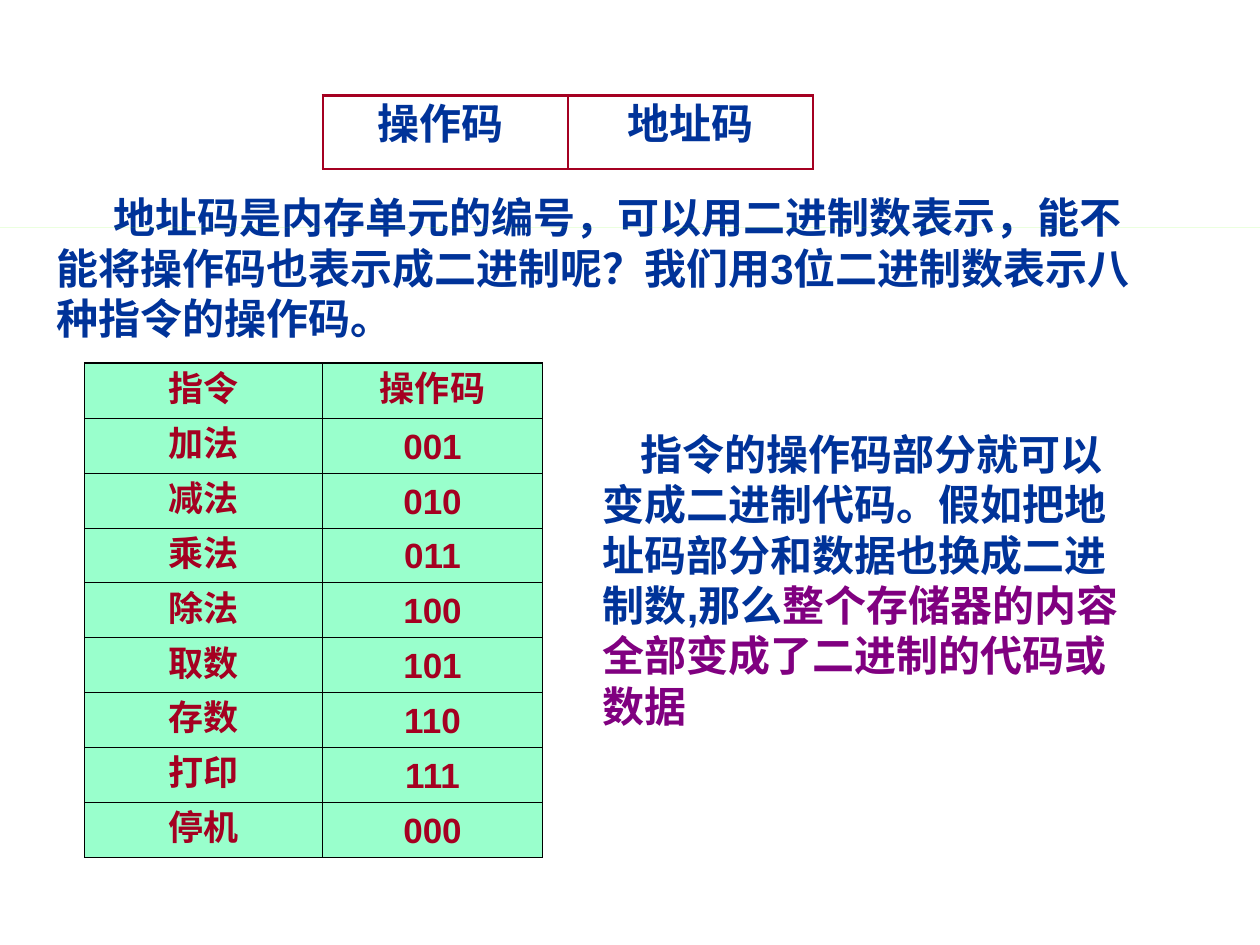
from lxml import etree
from pptx import Presentation
from pptx.dml.color import RGBColor
from pptx.enum.shapes import MSO_SHAPE
from pptx.enum.text import MSO_ANCHOR, MSO_AUTO_SIZE, PP_ALIGN
from pptx.oxml.ns import qn
from pptx.util import Pt

RECT = MSO_SHAPE.RECTANGLE
TOP, MIDDLE = MSO_ANCHOR.TOP, MSO_ANCHOR.MIDDLE
CENTER = PP_ALIGN.CENTER
FIT = MSO_AUTO_SIZE.SHAPE_TO_FIT_TEXT

NAVY = RGBColor(0x00, 0x33, 0x99)
CRIMSON = RGBColor(0xA5, 0x00, 0x21)
PURPLE = RGBColor(0x80, 0x00, 0x80)
MINT = RGBColor(0x99, 0xFF, 0xCC)
LIME = RGBColor(0x66, 0xFF, 0x00)
BLACK = RGBColor(0x00, 0x00, 0x00)

CJK = "Noto Sans CJK SC"
LATIN, SERIF = "Arial", "Times New Roman"
SIDES = ("L", "R", "T", "B")

OPCODES = [("指令", "操作码"), ("加法", "001"), ("减法", "010"),
           ("乘法", "011"), ("除法", "100"), ("取数", "101"),
           ("存数", "110"), ("打印", "111"), ("停机", "000")]


class Deck:
    """Holds the presentation, its current slide and the text style."""

    def __init__(self, width, height):
        self.prs = Presentation()
        self.prs.slide_width, self.prs.slide_height = Pt(width), Pt(height)
        self.slide = self.prs.slides.add_slide(self.prs.slide_layouts[6])
        self.shapes = self.slide.shapes

    def style(self, p, size, color, latin):
        """Make a bold paragraph with a line pitch of 1.2 times its size."""
        p.line_spacing = Pt(size * 1.2)
        font = p.font
        font.size, font.bold, font.name = Pt(size), True, latin
        font.color.rgb = color
        for r in p.runs:
            ea = etree.SubElement(r._r.get_or_add_rPr(), qn("a:ea"))
            ea.set("typeface", CJK)

    def border(self, cell, side, width, color):
        tc_pr = cell._tc.get_or_add_tcPr()
        ln = etree.SubElement(tc_pr, qn(f"a:ln{side}"), w=str(Pt(width)))
        fill = etree.SubElement(ln, qn("a:solidFill"))
        etree.SubElement(fill, qn("a:srgbClr"), val=str(color))

    def table(self, x, y, widths, row_height, rows):
        """Add an unstyled table and return its rows of cells."""
        frame = self.shapes.add_table(
            len(rows), len(widths), Pt(x), Pt(y),
            Pt(sum(widths)), Pt(row_height * len(rows)))
        table = frame.table
        table.first_row = table.horz_banding = False
        for column, width in zip(table.columns, widths):
            column.width = Pt(width)
        for row, texts in zip(table.rows, rows):
            row.height = Pt(row_height)
            for cell, text in zip(row.cells, texts):
                cell.text = text
                cell.text_frame.paragraphs[0].alignment = CENTER
        return [list(row.cells) for row in table.rows]

    def text(self, x, y, w, h, runs, indent, anchor=TOP):
        """Add one paragraph; the first run sets its colour."""
        sp = self.shapes.add_textbox(Pt(x), Pt(y), Pt(w), Pt(h))
        tf = sp.text_frame
        tf.word_wrap, tf.auto_size = True, FIT
        tf.vertical_anchor = anchor
        p = tf.paragraphs[0]
        p._p.get_or_add_pPr().set("indent", str(Pt(indent)))
        base = runs[0][1]
        for text, color in runs:
            r = p.add_run()
            r.text = text
            if color != base:
                r.font.color.rgb = color
        self.style(p, 24, base, LATIN)

    def rule(self, y, color):
        """Add a flat bar across the slide."""
        sp = self.shapes.add_shape(RECT, 0, Pt(y), self.prs.slide_width, 0)
        sp.shadow.inherit = False
        sp.fill.solid()
        sp.fill.fore_color.rgb = color
        sp.line.fill.background()


def add_format_table(deck):
    rows = deck.table(184.5, 54.5, (140, 140), 42, [("操作码 ", "地址码")])
    for cell in rows[0]:
        p = cell.text_frame.paragraphs[0]
        p.space_before = Pt(6)
        deck.style(p, 24, NAVY, CJK)
        for side in SIDES:
            deck.border(cell, side, 1.47, CRIMSON)
        cell.fill.background()


def add_opcode_table(deck):
    rows = deck.table(48.2, 207.5, (136, 126), 31.4, OPCODES)
    for i, row in enumerate(rows):
        for cell in row:
            cell.vertical_anchor = MIDDLE
            latin = LATIN if cell.text.isdigit() else SERIF
            deck.style(cell.text_frame.paragraphs[0], 20, CRIMSON, latin)
            for side in SIDES:
                outer = (side, i) in (("T", 0), ("B", len(rows) - 1))
                deck.border(cell, side, 0.96 if outer else 0.45, BLACK)
            cell.fill.solid()
            cell.fill.fore_color.rgb = MINT


def main():
    deck = Deck(720, 540)
    add_format_table(deck)
    deck.text(25.2, 106, 646.6, 93.6, [
        ("地址码是内存单元的编号，可以用二进制数表示，能不能将操作码也表示成"
         "二进制呢？我们用3位二进制数表示八种指令的操作码。", NAVY)], 32.5)
    deck.rule(129.9, LIME)
    add_opcode_table(deck)
    deck.text(337.5, 241.2, 311.8, 180, [
        ("指令的操作码部分就可以变成二进制代码。假如把地址码部分和数据也"
         "换成二进制数,那么", NAVY),
        ("整个存储器的内容全部变成了二进制的代码或数据", PURPLE)],
        21.5, MIDDLE)
    deck.prs.save("out.pptx")


if __name__ == "__main__":
    main()
